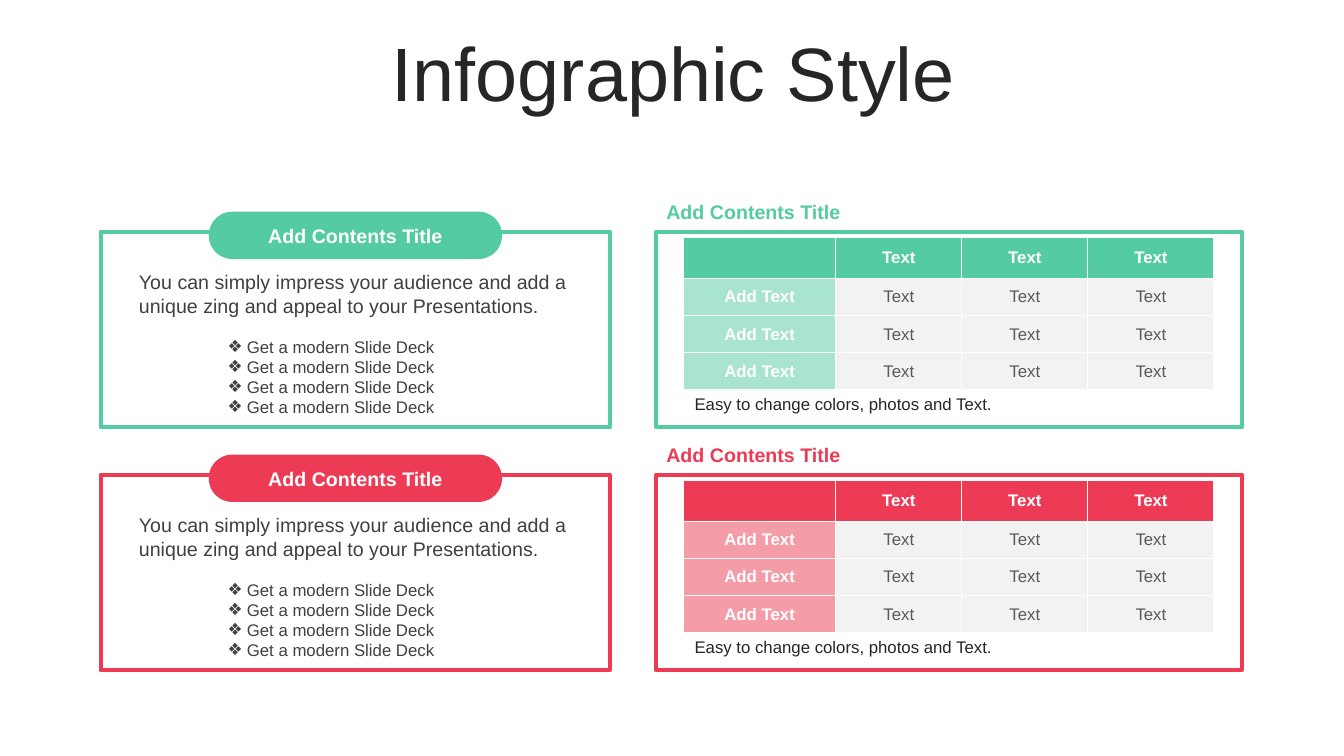
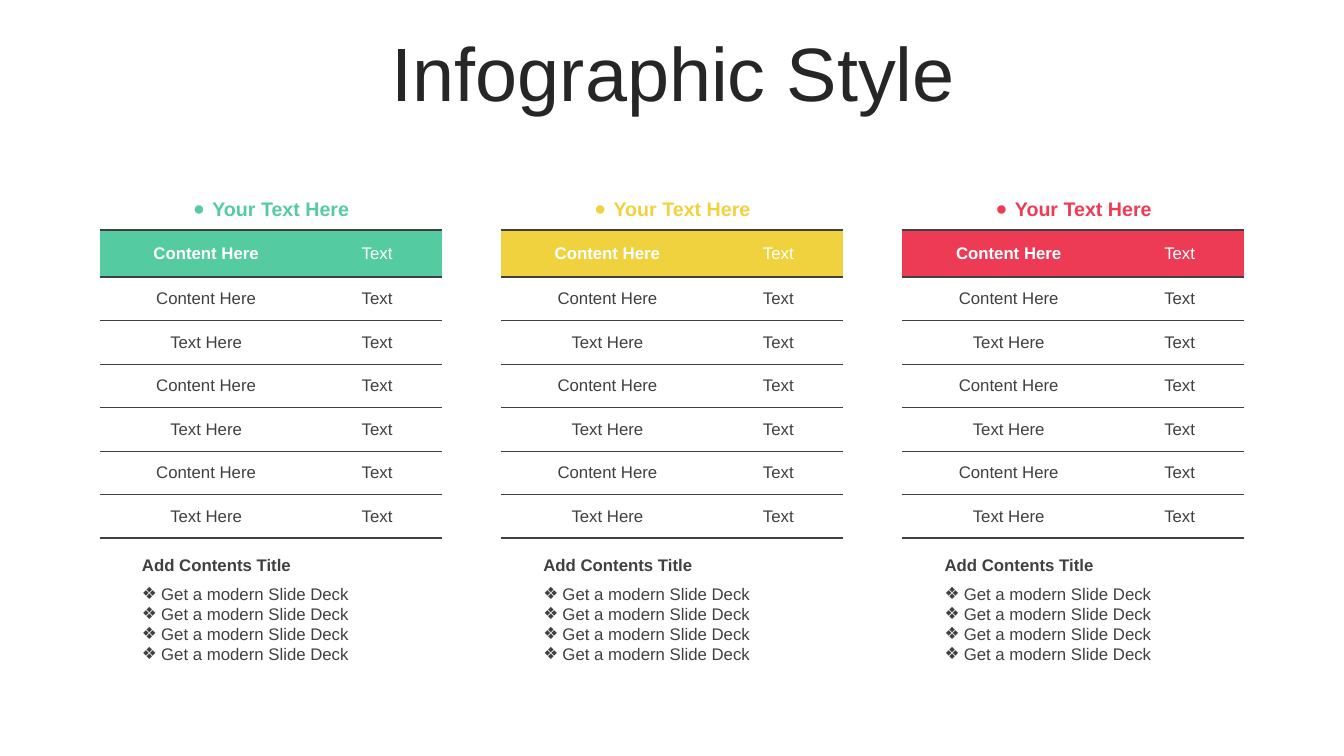
from lxml import etree
from pptx import Presentation
from pptx.dml.color import RGBColor
from pptx.enum.shapes import MSO_SHAPE as Shape
from pptx.enum.text import MSO_ANCHOR as Anchor, MSO_AUTO_SIZE as Fit, PP_ALIGN as Align
from pptx.oxml.ns import qn
from pptx.util import Inches, Pt

FONT = "Arial"
GREEN, YELLOW, RED = "54CBA0", "F0D23F", "ED3B55"
WHITE, PALE, GREY, DARK, BLACK = "FFFFFF", "F2F2F2", "595959", "404040", "262626"

TITLE = "Infographic Style"
HEAD = "Add Contents Title"
TOPIC = "Your Text Here"
INTRO = ("You can simply impress your audience and add a unique zing "
         "and appeal to your Presentations.")
NOTE = "Easy to change colors, photos and Text."
POINTS = ["Get a modern Slide Deck"] * 4
MATRIX = [["", "Text", "Text", "Text"]] + [["Add Text", "Text", "Text", "Text"]] * 3
PAIRS = [["Content Here", "Text"]] + [["Content Here", "Text"], ["Text Here", "Text"]] * 3

BANDS = [GREEN, RED]
BAND_TOP, BAND_STEP = 2.3, 2.41
COLUMNS = [GREEN, YELLOW, RED]
COL_LEFT, COL_STEP = 0.99, 3.98


def rgb(code):
    return RGBColor.from_string(code)


def inches(*sizes):
    return [Inches(size) for size in sizes]


def add_run(para, text, size, color, bold=False):
    run = para.add_run()
    run.text = text
    font = run.font
    font.name, font.size, font.bold = FONT, Pt(size), bold
    font.color.rgb = rgb(color)


def add_bullet(para, mark):
    props = para._p.get_or_add_pPr()
    props.set("marL", str(Inches(0.19)))
    props.set("indent", str(-Inches(0.19)))
    etree.SubElement(props, qn("a:buFont")).set("typeface", FONT)
    etree.SubElement(props, qn("a:buChar")).set("char", mark)


def add_text(shapes, box, lines, size, color, bold=False, align=Align.LEFT, mark=None):
    frame = shapes.add_textbox(*inches(*box)).text_frame
    frame.word_wrap = True
    for i, line in enumerate(lines):
        para = frame.add_paragraph() if i else frame.paragraphs[0]
        para.alignment = align
        if mark:
            add_bullet(para, mark)
        add_run(para, line, size, color, bold)


def add_box(shapes, kind, box, fill, line=None):
    shape = shapes.add_shape(kind, *inches(*box))
    shape.shadow.inherit = False
    shape.fill.solid()
    shape.fill.fore_color.rgb = rgb(fill)
    if line:
        shape.line.color.rgb = rgb(line)
        shape.line.width = Pt(3)
    else:
        shape.line.fill.background()
    return shape


def set_edges(cell, edges):
    """Draw the sides L, R, T, B given as (colour, points), or None for no line."""
    props = cell._tc.get_or_add_tcPr()
    for i, side in enumerate("LRTB"):
        line = etree.Element(qn("a:ln" + side))
        if edges[side]:
            color, width = edges[side]
            line.set("w", str(Pt(width)))
            fill = etree.SubElement(line, qn("a:solidFill"))
            etree.SubElement(fill, qn("a:srgbClr")).set("val", color)
        else:
            etree.SubElement(line, qn("a:noFill"))
        props.insert(i, line)


def add_grid(shapes, box, widths, rows, head, style):
    """Add a table; style(row, col) gives fill, alpha, text colour, bold, edges."""
    table = shapes.add_table(len(rows), len(widths), *inches(*box)).table
    table.first_row = table.horz_banding = False
    for col, width in zip(table.columns, widths):
        col.width = Inches(width)
    rest = (box[3] - head) / (len(rows) - 1)
    for r, row in enumerate(rows):
        table.rows[r].height = Inches(rest if r else head)
        for c, text in enumerate(row):
            fill, alpha, color, bold, edges = style(r, c)
            cell = table.cell(r, c)
            cell.vertical_anchor = Anchor.MIDDLE
            cell.fill.solid()
            cell.fill.fore_color.rgb = rgb(fill)
            if alpha < 100:
                tint = cell._tc.tcPr.find(".//" + qn("a:srgbClr"))
                etree.SubElement(tint, qn("a:alpha")).set("val", str(alpha * 1000))
            set_edges(cell, edges)
            para = cell.text_frame.paragraphs[0]
            para.alignment = Align.CENTER
            if text:
                add_run(para, text, 12, color, bold)


def matrix_style(color):
    edges = dict.fromkeys("LRTB", (WHITE, 1))

    def style(r, c):
        if r and c:
            return PALE, 100, GREY, False, edges
        return color, 50 if r else 100, WHITE, True, edges
    return style


def pair_style(color):
    thin, thick = (DARK, 1), (DARK, 1.5)

    def style(r, c):
        edges = {"L": None, "R": None, "T": thick if r < 2 else thin,
                 "B": thick if r in (0, len(PAIRS) - 1) else thin}
        if r:
            return WHITE, 100, DARK, False, edges
        return color, 100, WHITE, c == 0, edges
    return style


def add_slide(deck):
    slide = deck.slides.add_slide(deck.slide_layouts[5])
    title = slide.shapes.title
    title.left, title.top, title.width, title.height = inches(0.35, 0.37, 12.66, 0.79)
    frame = title.text_frame
    frame.auto_size, frame.vertical_anchor = Fit.NONE, Anchor.MIDDLE
    para = frame.paragraphs[0]
    para.alignment, para.line_spacing = Align.CENTER, 0.9
    add_run(para, TITLE, 54, BLACK)
    return slide.shapes


def add_band(shapes, top, color):
    add_box(shapes, Shape.RECTANGLE, (1, top, 5.05, 1.94), WHITE, color)
    pill = add_box(shapes, Shape.ROUNDED_RECTANGLE, (2.07, top - 0.2, 2.91, 0.47), color)
    pill.adjustments[0] = 0.5
    pill.text_frame.vertical_anchor = Anchor.MIDDLE
    para = pill.text_frame.paragraphs[0]
    para.alignment = Align.CENTER
    add_run(para, HEAD, 14, WHITE, True)
    add_text(shapes, (1.28, top + 0.33, 4.5, 0.57), [INTRO], 14, DARK)
    add_text(shapes, (2.16, top + 0.99, 2.75, 0.91), POINTS, 12, DARK, mark="❖")

    add_text(shapes, (6.51, top - 0.37, 2.75, 0.34), [HEAD], 14, color, True)
    add_box(shapes, Shape.RECTANGLE, (6.51, top, 5.81, 1.94), WHITE, color)
    add_grid(shapes, (6.78, top + 0.06, 5.26, 1.48), [1.51] + [1.25] * 3,
             MATRIX, 0.37, matrix_style(color))
    add_text(shapes, (6.79, top + 1.56, 4.23, 0.3), [NOTE], 12, BLACK)


def add_column(shapes, left, color):
    add_text(shapes, (left + 0.46, 1.9, 2.48, 0.34), [TOPIC], 14, color, True,
             Align.CENTER, "●")
    add_grid(shapes, (left, 2.28, 3.39, 3.06), [2.11, 1.28], PAIRS, 0.47, pair_style(color))
    group = shapes.add_group_shape().shapes
    add_text(group, (left + 0.32, 5.45, 2.75, 0.3), [HEAD], 12, DARK, True)
    add_text(group, (left + 0.32, 5.74, 2.75, 0.91), POINTS, 12, DARK, mark="❖")


def main():
    deck = Presentation()
    deck.slide_width, deck.slide_height = inches(13.33, 7.5)
    shapes = add_slide(deck)
    for i, color in enumerate(BANDS):
        add_band(shapes, BAND_TOP + i * BAND_STEP, color)
    shapes = add_slide(deck)
    for i, color in enumerate(COLUMNS):
        add_column(shapes, COL_LEFT + i * COL_STEP, color)
    deck.save("out.pptx")


if __name__ == "__main__":
    main()
